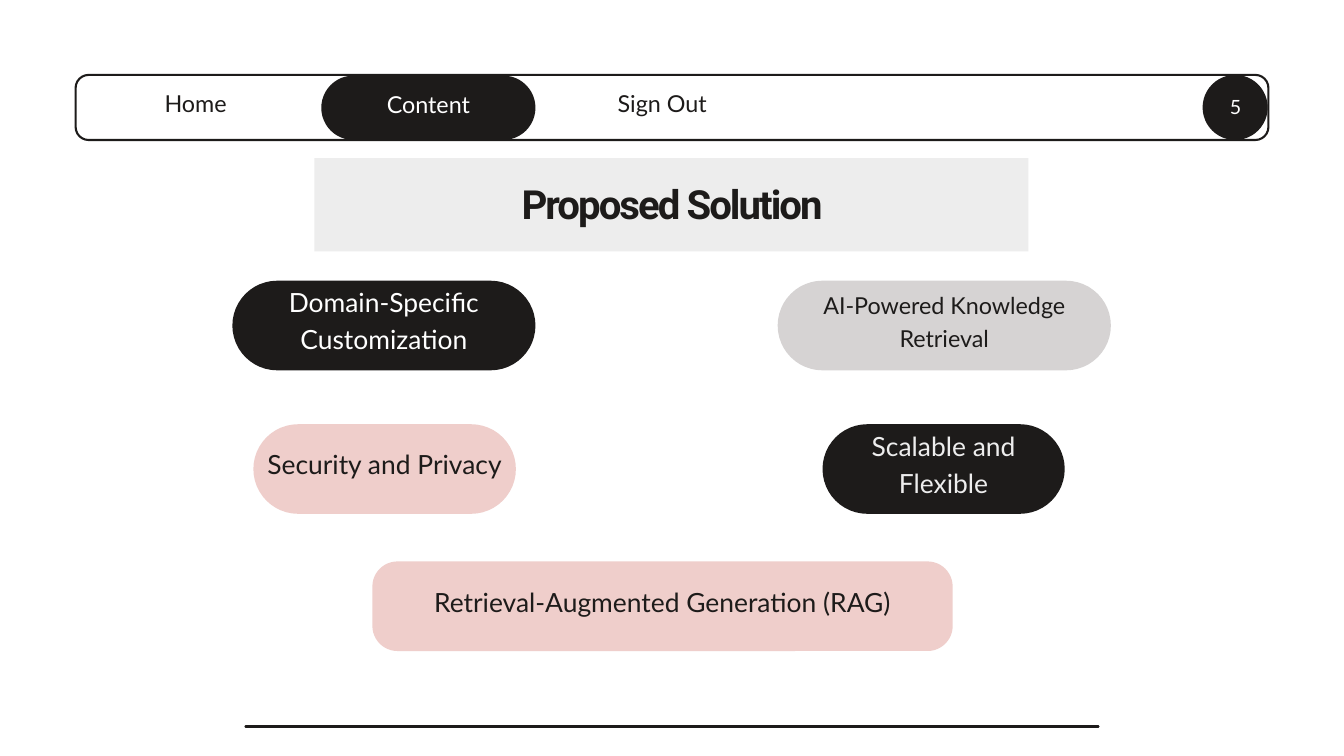
from lxml.etree import SubElement
from pptx import Presentation
from pptx.dml.color import RGBColor
from pptx.enum.shapes import MSO_CONNECTOR, MSO_SHAPE
from pptx.enum.text import MSO_ANCHOR, PP_ALIGN
from pptx.oxml.ns import qn
from pptx.util import Pt

PX = 9525
INK, WHITE, MIST, ROSE, GREY = "1D1B1A", "FFFFFF", "EDEDED", "EFCECB", "D6D3D3"
rgb = RGBColor.from_string

deck = Presentation()
deck.slide_width, deck.slide_height = 1920 * PX, 1080 * PX
slide = deck.slides.add_slide(deck.slide_layouts[6])


def add_panel(preset, box, fill, corner=None):
    panel = slide.shapes.add_shape(preset, *(value * PX for value in box))
    panel.shadow.inherit = False
    panel.fill.solid()
    panel.fill.fore_color.rgb = rgb(fill)
    panel.line.fill.background()
    if corner is not None:
        panel.adjustments[0] = corner
    return panel


def add_label(text, box, size, leading, color, inset=6, anchor=MSO_ANCHOR.MIDDLE, **font):
    frame = slide.shapes.add_textbox(*(value * PX for value in box)).text_frame
    layout = {"word_wrap": True, "vertical_anchor": anchor}
    for side in ("left", "top", "right", "bottom"):
        layout[f"margin_{side}"] = inset * PX
    for name, value in layout.items():
        setattr(frame, name, value)
    paragraph = frame.paragraphs[0]
    paragraph.alignment = PP_ALIGN.CENTER
    paragraph.line_spacing = Pt(leading)
    run = paragraph.add_run()
    run.text = text
    for name, value in {"name": "Lato", "size": Pt(size), **font}.items():
        setattr(run.font, name, value)
    run.font.color.rgb = rgb(color)
    return run


navigation = add_panel(MSO_SHAPE.ROUNDED_RECTANGLE, (108, 107, 1704, 93), WHITE, 0.2)
navigation.line.color.rgb = rgb(INK)
navigation.line.width = Pt(2.25)

add_panel(MSO_SHAPE.OVAL, (1718, 107, 93, 93), INK)
add_label("5", (1727, 109, 76, 82), 21, 29.4, WHITE, inset=8)

pills = [
    ("Home", 129, 114, 301, 79, 19, 25, 35, WHITE, INK, 0.5),
    ("Content", 459, 108, 306, 92, 18, 25, 35, INK, WHITE, 0.5),
    ("Sign Out", 793, 114, 306, 79, 19, 25, 35, WHITE, INK, 0.5),
    ("Domain-Specific Customization", 332, 401, 433, 128, 21, 28.3, 39.6, INK, WHITE, 0.5),
    ("AI-Powered Knowledge Retrieval", 1111, 401, 476, 128, 18, 25, 35, GREY, INK, 0.5),
    ("Security and Privacy", 362, 606, 375, 128, 21, 28.3, 39.6, ROSE, INK, 0.5),
    ("Scalable and Flexible", 1175, 606, 346, 128, 21, 28.3, 39.6, INK, MIST, 0.5),
    ("Retrieval-Augmented Generation (RAG)", 532, 802, 829, 128, 21, 28.3, 39.6, ROSE, INK, 0.28),
]
for text, left, top, width, height, rise, size, leading, fill, color, corner in pills:
    add_panel(MSO_SHAPE.ROUNDED_RECTANGLE, (left, top, width, height), fill, corner)
    add_label(text, (left, top - rise, width, height + rise), size, leading, color)

add_panel(MSO_SHAPE.RECTANGLE, (449, 226, 1020, 133), MIST)
title = add_label("Proposed Solution", (595, 274, 730, 55), 43, 38.7, INK, inset=0,
                  anchor=MSO_ANCHOR.TOP, name="Roboto", bold=True)
title.font._element.set("spc", "-210")

footer_rule = slide.shapes.add_connector(
    MSO_CONNECTOR.STRAIGHT, 351 * PX, 1038 * PX, 1569 * PX, 1038 * PX)
footer_rule.line.color.rgb = rgb(INK)
footer_rule.line.width = Pt(3)
footer_rule.line._get_or_add_ln().set("cap", "rnd")
SubElement(footer_rule._element.spPr, qn("a:effectLst"))

deck.save("out.pptx")
